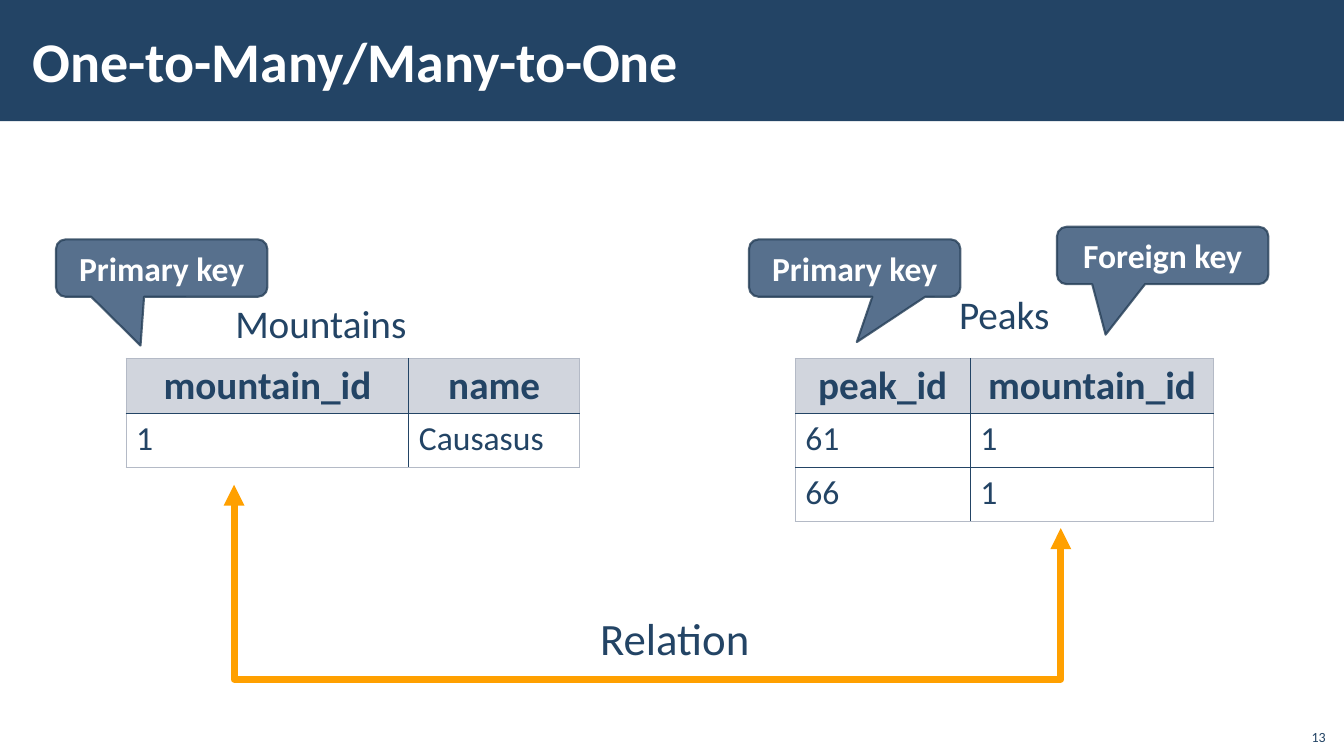
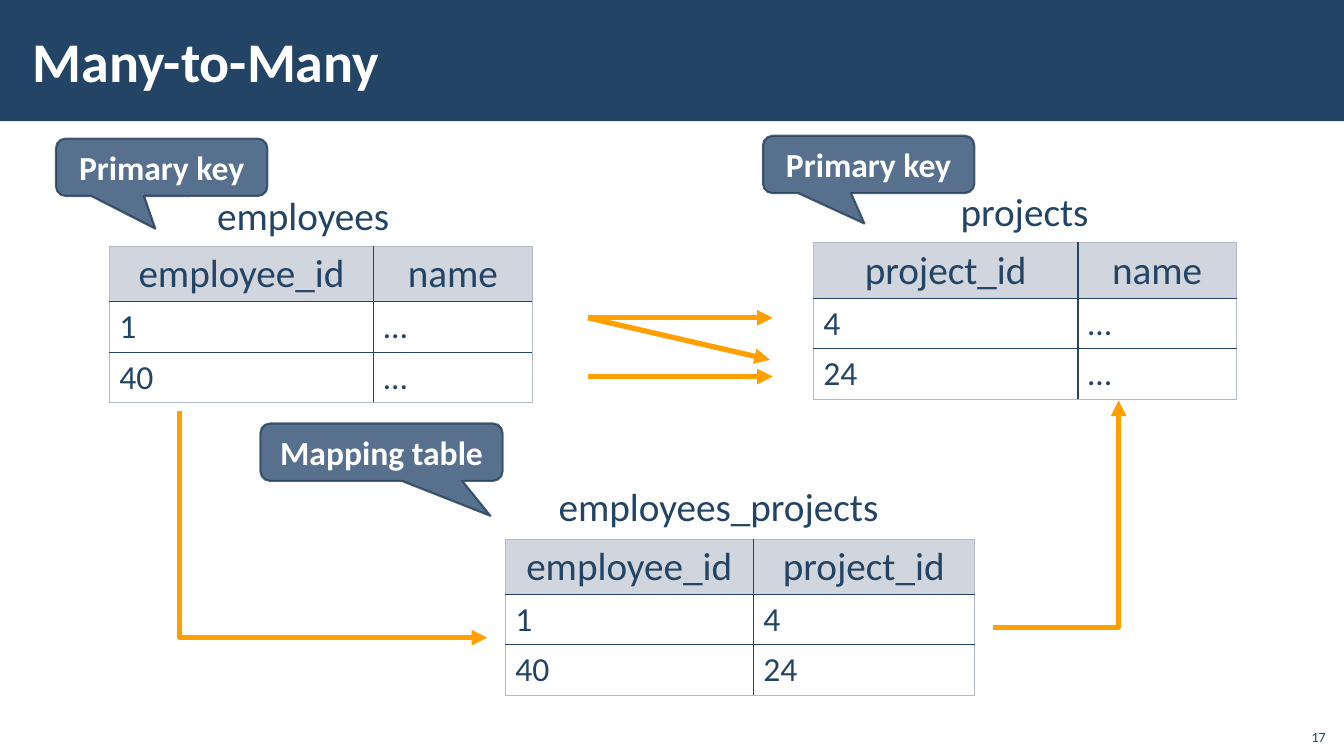
from lxml import etree
from pptx import Presentation
from pptx.dml.color import RGBColor
from pptx.enum import shapes, text
from pptx.oxml.ns import qn
from pptx.util import Pt

NAVY = RGBColor(0x23, 0x44, 0x65)
WHITE = RGBColor(0xFF, 0xFF, 0xFF)
SLATE = RGBColor(0x4F, 0x69, 0x87)
EDGE = RGBColor(0x25, 0x3E, 0x57)
AMBER = RGBColor(0xFF, 0xA0, 0x00)
HEAD = RGBColor(0xD1, 0xD5, 0xDD)
RIM = RGBColor(0xB4, 0xBA, 0xC6)

LEFT, MID, RIGHT = text.PP_ALIGN.LEFT, text.PP_ALIGN.CENTER, text.PP_ALIGN.RIGHT
TOP, CENTER, BOTTOM = (text.MSO_ANCHOR.TOP, text.MSO_ANCHOR.MIDDLE,
                       text.MSO_ANCHOR.BOTTOM)

# labels: text, left, top, width, height, size, wrap
# keys: text, left, top, width, tip x, tip y
# tables: left, top, column widths, rows
# wires: left, top, width, height, turn, flip, preset, bend
# lines: x1, y1, x2, y2
SLIDES = [
    dict(
        title="One-to-Many/Many-to-One", number="13",
        bold=True, row=38.5, weight=5, both=True,
        labels=[("Mountains", 161, 210, 138, 41, 28, False),
                ("Peaks", 678, 204, 80, 41, 28, False),
                ("Relation", 410, 433, 144, 46, 32, True)],
        keys=[("Primary key", 40, 171, 151, -0.1, 1.35),
              ("Primary key", 535, 171, 151, 0.01, 1.29),
              ("Foreign key", 755, 162, 151, -0.27, 1.38)],
        tables=[(90, 256, (202, 122),
                 [("mountain_id", "name"), ("1", "Causasus")]),
                (568, 256, (125, 174),
                 [("peak_id", "mountain_id"), ("61", "1"), ("66", "1")])],
        wires=[(447, 66.5, 31, 590.5, 270, "flipH", "bentConnector3", 4.48)],
        lines=[]),
    dict(
        title="Many-to-Many", number="17",
        bold=False, row=36, weight=3.75, both=False,
        labels=[("employees", 148, 133, 139, 41, 28, False),
                ("projects", 679, 130, 107, 41, 28, False),
                ("employees_projects", 392, 341, 246, 41, 28, False)],
        keys=[("Primary key", 40, 99, 151, -0.03, 1.07),
              ("Primary key", 545, 97, 151, -0.02, 1.03),
              ("Mapping table", 186, 302.5, 173, 0.45, 1.11)],
        tables=[(78, 176, (189, 113),
                 [("employee_id", "name"), ("1", "…"), ("40", "…")]),
                (361, 385, (177, 158),
                 [("employee_id", "project_id"), ("1", "4"), ("40", "24")]),
                (581, 173.5, (189, 113),
                 [("project_id", "name"), ("4", "…"), ("24", "…")])],
        wires=[(157, 264.5, 162, 220, 270, "flipH", "bentConnector2", None),
               (709, 286, 90, 162, 0, "flipV", "bentConnector2", None)],
        lines=[(420, 227, 552, 227), (420, 269, 552, 269),
               (420, 227, 550, 257)]),
]


def write(frame, words, size, color=NAVY, bold=False, align=LEFT, anchor=TOP):
    frame.text = words
    frame.vertical_anchor = anchor
    para = frame.paragraphs[0]
    para.alignment = align
    font = para.font
    font.name, font.size, font.bold = "Calibri", Pt(size), bold
    font.color.rgb = color
    return para


def arrow(slide, kind, ends, weight, both):
    """Add an amber connector with a head at its end, or at both ends."""
    link = slide.shapes.add_connector(kind, *map(Pt, ends))
    link.line.color.rgb = AMBER
    link.line.width = Pt(weight)
    props = link._element.spPr
    line = props.find(qn("a:ln"))
    for tag in ("a:headEnd", "a:tailEnd") if both else ("a:tailEnd",):
        etree.SubElement(line, qn(tag), type="triangle")
    etree.SubElement(props, qn("a:effectLst"))
    return props


deck = Presentation()
deck.slide_width, deck.slide_height = Pt(960), Pt(540)

for page in SLIDES:
    slide = deck.slides.add_slide(deck.slide_layouts[6])
    items = slide.shapes

    band = items.add_shape(shapes.MSO_SHAPE.RECTANGLE, 0, 0, Pt(960), Pt(86.5))
    band.shadow.inherit = False
    band.fill.solid()
    band.fill.fore_color.rgb = NAVY
    band.line.fill.background()

    frame = items.add_textbox(Pt(15), Pt(8), Pt(765), Pt(70)).text_frame
    frame.word_wrap = True
    frame.margin_left = frame.margin_right = Pt(8.5)
    write(frame, page["title"], 40, WHITE, True, anchor=CENTER)

    for words, x, y, w, h, size, wrap in page["labels"]:
        frame = items.add_textbox(Pt(x), Pt(y), Pt(w), Pt(h)).text_frame
        frame.word_wrap = wrap
        write(frame, words, size, align=MID if wrap else LEFT)

    for words, x, y, w, dx, dy in page["keys"]:
        key = items.add_shape(shapes.MSO_SHAPE.ROUNDED_RECTANGULAR_CALLOUT,
                              Pt(x), Pt(y), Pt(w), Pt(41))
        key.shadow.inherit = False
        key.adjustments[0], key.adjustments[1] = dx, dy
        key.fill.solid()
        key.fill.fore_color.rgb = SLATE
        key.line.color.rgb = EDGE
        key.line.width = Pt(1.5)
        props = key._element.spPr
        for route, alpha in (("a:solidFill", "95000"),
                             ("a:ln/a:solidFill", "80000")):
            color = props.xpath(route + "/a:srgbClr")[0]
            etree.SubElement(color, qn("a:alpha"), val=alpha)
        write(key.text_frame, words, 24, WHITE, True, MID, CENTER)

    for x, y, widths, rows in page["tables"]:
        heights = [39.5] + [page["row"]] * (len(rows) - 1)
        grid = items.add_table(len(rows), len(widths), Pt(x), Pt(y),
                               Pt(sum(widths)), Pt(sum(heights))).table
        grid.horz_banding = False
        for col, width in zip(grid.columns, widths):
            col.width = Pt(width)
        for r, row in enumerate(rows):
            grid.rows[r].height = Pt(heights[r])
            for c, words in enumerate(row):
                cell = grid.cell(r, c)
                props = cell._tc.get_or_add_tcPr()
                rims = (("a:lnL", c == 0), ("a:lnR", c == len(row) - 1),
                        ("a:lnT", r == 0), ("a:lnB", r == len(rows) - 1))
                for tag, outer in rims:
                    line = etree.SubElement(props, qn(tag),
                                            w=str(Pt(0.75 if outer else 1)))
                    fill = etree.SubElement(line, qn("a:solidFill"))
                    etree.SubElement(fill, qn("a:srgbClr"),
                                     val=str(RIM if outer else NAVY))
                if r == 0:
                    cell.fill.solid()
                    cell.fill.fore_color.rgb = HEAD
                    cell.margin_left = cell.margin_right = Pt(12)
                    para = write(cell.text_frame, words, 28,
                                 bold=page["bold"], align=MID)
                    para.line_spacing = 0.95
                else:
                    cell.fill.background()
                    write(cell.text_frame, words, 24)

    for ends in page["lines"]:
        arrow(slide, shapes.MSO_CONNECTOR.STRAIGHT, ends,
              page["weight"], page["both"])

    for x, y, w, h, turn, flip, preset, bend in page["wires"]:
        props = arrow(slide, shapes.MSO_CONNECTOR.ELBOW, (x, y, x + w, y + h),
                      page["weight"], page["both"])
        place = props.find(qn("a:xfrm"))
        place.set("rot", str(turn * 60000))
        place.set(flip, "1")
        shape = props.find(qn("a:prstGeom"))
        shape.set("prst", preset)
        if bend:
            etree.SubElement(shape.find(qn("a:avLst")), qn("a:gd"),
                             name="adj1", fmla=f"val {round(bend * 100000)}")

    frame = items.add_textbox(Pt(925), Pt(513), Pt(29), Pt(23)).text_frame
    frame.word_wrap = True
    write(frame, page["number"], 10, align=RIGHT, anchor=BOTTOM)

deck.save("out.pptx")
